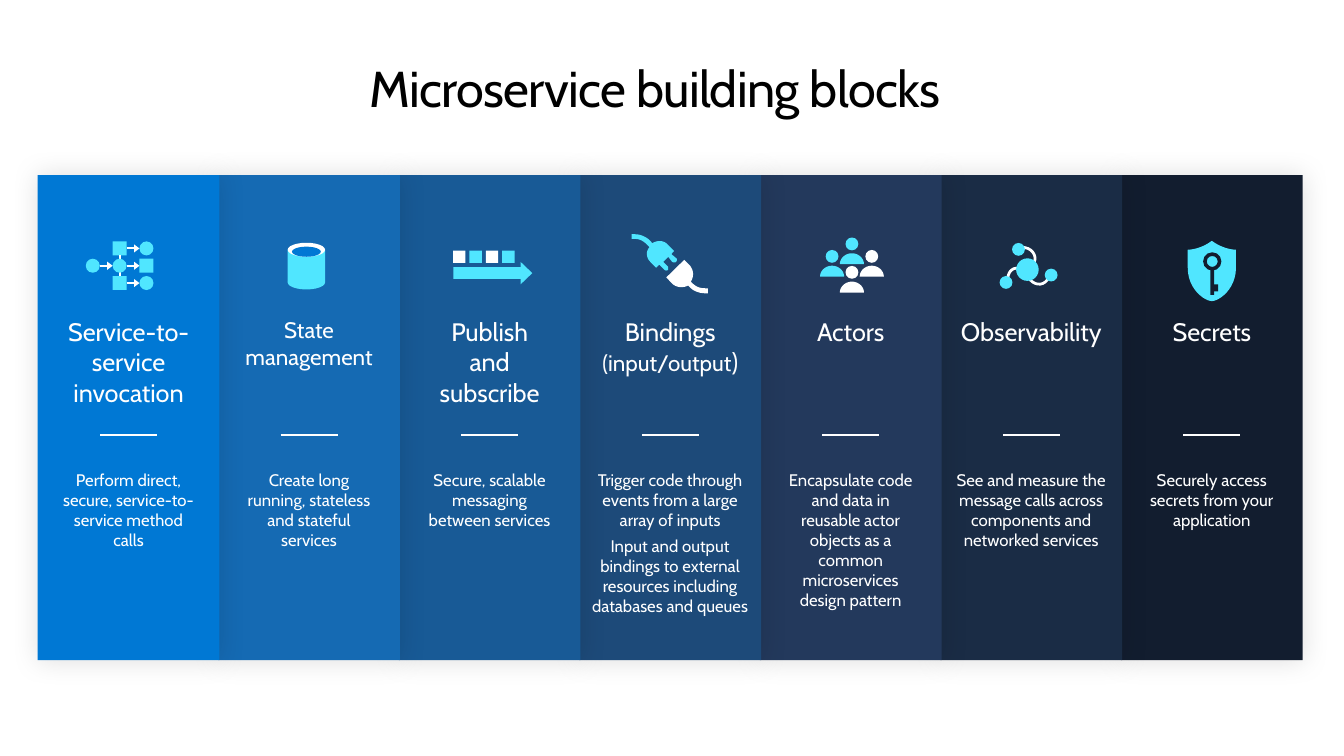
from dataclasses import dataclass

from lxml import etree
from pptx import Presentation
from pptx import util as u
from pptx.dml.color import RGBColor
from pptx.enum import shapes, text
from pptx.oxml import ns

S = shapes.MSO_SHAPE
Cm = u.Cm


@dataclass(frozen=True)
class Theme:
    font: str = "Cabin"
    black: str = "000000"
    white: str = "FFFFFF"
    cyan: str = "50E6FF"
    blue: str = "0078D4"
    title: float = 36.7
    heading: float = 18.4
    small_heading: float = 16.3
    body: float = 12.2


T = Theme()


def rgb(colour):
    return RGBColor.from_string(colour)


def sub(parent, tag, **attrs):
    return etree.SubElement(parent, ns.qn(tag), attrs)


def write(tf, paragraphs, size=T.body, colour=T.white, after=0, spacing=None):
    """Fill a frame with centred paragraphs, each a string or a list of (text, size)."""
    tf.word_wrap = True
    tf.vertical_anchor = text.MSO_ANCHOR.TOP
    for i, runs in enumerate(paragraphs):
        p = tf.add_paragraph() if i else tf.paragraphs[0]
        p.alignment = text.PP_ALIGN.CENTER
        p.space_after = u.Pt(after)
        for words, run_size in [(runs, size)] if isinstance(runs, str) else runs:
            for n, line in enumerate(words.split("\n")):
                if n:
                    p.add_line_break()
                r = p.add_run()
                r.text = line
                r.font.name, r.font.size = T.font, u.Pt(run_size)
                r.font.color.rgb = rgb(colour)
                if spacing is not None:
                    r._r.get_or_add_rPr().set("spc", str(int(spacing * 100)))


def insets(tf, left=0, top=0, right=0, bottom=0):
    tf.margin_left, tf.margin_top = Cm(left), Cm(top)
    tf.margin_right, tf.margin_bottom = Cm(right), Cm(bottom)


def paint(sp, fill):
    sp.shadow.inherit = False
    sp.fill.solid()
    sp.fill.fore_color.rgb = rgb(fill)
    sp.line.fill.background()
    return sp


def connect(s, x1, y1, x2, y2, arrow=False):
    line = s.shapes.add_connector(shapes.MSO_CONNECTOR.STRAIGHT, Cm(x1), Cm(y1), Cm(x2), Cm(y2))
    line.line.color.rgb = rgb(T.white)
    line.line.width = u.Pt(1.5)
    sp_pr = line._element.spPr
    if arrow:
        sub(sp_pr.find(ns.qn("a:ln")), "a:tailEnd", type="triangle", w="med", len="sm")
    sub(sp_pr, "a:effectLst")
    return line


class Icon:
    """Draws pieces at offsets in centimetres from the icon's centre."""

    def __init__(self, s, cx, cy):
        self.s, self.cx, self.cy = s, cx, cy

    def piece(self, kind, x, y, w, h, fill):
        """Place a preset shape by its own centre."""
        return paint(self.s.shapes.add_shape(
            kind, Cm(self.cx + x - w / 2), Cm(self.cy + y - h / 2), Cm(w), Cm(h)), fill)

    def outline(self, steps, colour, stroke=None):
        """Steps are (x, y) for a line or six Bézier values; stroke leaves the curve open."""
        points = [steps[0]]
        for step in steps[1:]:
            if len(step) == 2:
                points.append(step)
                continue
            ctrl = [points[-1], step[:2], step[2:4], step[4:]]
            for t in (n / 12 for n in range(1, 13)):
                weights = ((1 - t) ** 3, 3 * t * (1 - t) ** 2, 3 * t * t * (1 - t), t ** 3)
                points.append(tuple(sum(k * c[a] for k, c in zip(weights, ctrl)) for a in (0, 1)))
        emu = [(Cm(self.cx + x), Cm(self.cy + y)) for x, y in points]
        fb = self.s.shapes.build_freeform(*emu[0])
        fb.add_line_segments(emu[1:], close=stroke is None)
        sp = paint(fb.convert_to_shape(), colour)
        if stroke:
            sp.fill.background()
            sp.line.color.rgb = rgb(colour)
            sp.line.width = u.Pt(stroke)

    def arrow(self, x1, x2, y):
        return connect(self.s, self.cx + x1, self.cy + y, self.cx + x2, self.cy + y, arrow=True)


def invocation_icon(icon):
    size, col, row, hub_x = 0.36, 0.69, 0.445, -0.23
    right, half = hub_x + col, size / 2
    top, bottom = (icon.piece(S.RECTANGLE, hub_x, y, size, size, T.cyan) for y in (-row, row))
    target = icon.piece(S.RECTANGLE, right, 0, size, size, T.cyan)
    spine = connect(icon.s, icon.cx + hub_x, icon.cy - row, icon.cx + hub_x, icon.cy + row)
    spine.begin_connect(top, 2)
    spine.end_connect(bottom, 0)
    for x, y in ((right, -row), (right, row), (hub_x - col, 0), (hub_x, 0)):
        icon.piece(S.OVAL, x, y, size, size, T.cyan)
    for square, y in ((top, -row), (bottom, row)):
        icon.arrow(hub_x + half, right - half, y).begin_connect(square, 3)
    icon.arrow(hub_x + half, right - half, 0).end_connect(target, 1)
    icon.arrow(hub_x - col + half, hub_x - half, 0)


def state_icon(icon):
    x, w = -0.07, 0.96
    icon.piece(S.OVAL, x, 0.43, w, 0.36, T.cyan)
    icon.piece(S.RECTANGLE, x, 0.01, w, 0.84, T.cyan)
    icon.piece(S.OVAL, x, -0.41, w, 0.36, T.white)
    icon.piece(S.OVAL, x, -0.36, 0.74, 0.26, T.blue)


def publish_icon(icon):
    for i, fill in enumerate((T.white, T.cyan) * 2):
        icon.piece(S.RECTANGLE, -0.78 + 0.42 * i, -0.23, 0.32, 0.31, fill)
    belt = icon.piece(S.RIGHT_ARROW, 0.08, 0.19, 2.03, 0.58, T.cyan)
    belt.adjustments[0] = belt.adjustments[1] = 0.52


def bindings_icon(icon):
    icon.outline([
        (-.05, .03), (-.18, -.1), (-.05, -.23), (.05, -.1), (.08, -.08, .13, -.08, .15, -.1),
        (.18, -.13, .18, -.18, .15, -.2), (.03, -.3), (.1, -.38), (-.05, -.53),
        (-.15, -.66, -.33, -.66, -.46, -.58), (-.51, -.64), (-.61, -.74, -.76, -.81, -.91, -.81),
        (-.99, -.81), (-.99, -.69), (-.91, -.69), (-.79, -.69, -.69, -.64, -.58, -.53),
        (-.53, -.48), (-.64, -.36, -.61, -.2, -.51, -.1), (-.36, .05), (-.28, -.03),
        (-.15, .1), (-.13, .13, -.08, .13, -.05, .1)], T.cyan)
    icon.outline([
        (.91, .58), (.79, .58, .69, .56, .58, .46), (.53, .41), (.61, .28, .61, .13, .51, 0),
        (.36, -.15), (-.1, .3), (.05, .46), (.15, .56, .33, .58, .46, .51), (.51, .56),
        (.61, .66, .76, .71, .91, .71), (.97, .71), (.97, .58)], T.white)


def actors_icon(icon):
    for x, y, fill in ((0.54, -0.24, T.white), (0.03, -0.56, T.cyan),
                       (0.03, 0.17, T.white), (-0.48, -0.24, T.cyan)):
        icon.piece(S.OVAL, x, y, 0.33, 0.33, fill)
        base, top = y + 0.52, y + 0.24
        icon.outline([(x - .31, base), (x - .31, base - .15, x - .17, top, x, top),
                      (x + .17, top, x + .31, base - .15, x + .31, base)], fill)


def observability_icon(icon):
    for arc in ([(-.61, .41), (-.62, .05, -.35, -.05, -.05, .2)],
                [(-.33, -.46), (.05, -.55, .3, -.1, -.13, .1)],
                [(-.13, .05), (-.15, .45, .3, .65, .46, .28)]):
        icon.outline(arc, T.white, stroke=2)
    for x, y, d in ((-.65, .43, .33), (-.33, -.42, .33), (.51, .24, .33), (-.1, .1, .58)):
        icon.piece(S.OVAL, x, y, d, d, T.cyan)


def secrets_icon(icon):
    key = PANELS[-1][0]
    icon.outline([(0, -.64), (.3, -.41, .62, -.41, .62, -.41), (.62, .05),
                  (.62, .61, .18, .91, 0, .91), (-.18, .91, -.62, .61, -.62, .05),
                  (-.62, -.41), (-.62, -.41, -.3, -.41, 0, -.64)], T.cyan)
    icon.piece(S.DONUT, 0.01, -0.11, 0.47, 0.47, key).adjustments[0] = 0.2
    icon.piece(S.RECTANGLE, 0.01, 0.41, 0.1, 0.68, key)
    icon.piece(S.RECTANGLE, 0.11, 0.57, 0.1, 0.18, key)


# fill, icon, heading, caption width in cm, caption paragraphs
PANELS = [
    ("0078D4", invocation_icon, ["Service-to- service invocation"], 3.56,
     ["Perform direct, secure, service-to-service method calls"]),
    ("156AB3", state_icon, [[("State management", T.small_heading)]], 3.56,
     ["Create long running, stateless and stateful services"]),
    ("185A96", publish_icon, ["Publish\nand\nsubscribe"], 3.56,
     ["Secure, scalable messaging between services"]),
    ("1D4A79", bindings_icon,
     ["Bindings", [("(input/output", T.small_heading), (")", T.heading)]], 4.37,
     ["Trigger code through events from a large array of inputs",
      "Input and output bindings to external resources including databases and queues"]),
    ("23395C", actors_icon, ["Actors"], 3.56,
     ["Encapsulate code and data in reusable actor objects as a common "
      "microservices design pattern"]),
    ("1A2C45", observability_icon, ["Observability"], 4.04,
     ["See and measure the message calls across components and networked services"]),
    ("121D2F", secrets_icon, ["Secrets"], 3.81,
     ["Securely access secrets from your application"]),
]


def add_panel(s, x, y, w, h, fill, draw_icon, heading, caption_w, caption):
    sp = paint(s.shapes.add_shape(S.RECTANGLE, Cm(x), Cm(y), Cm(w), Cm(h)), fill)
    glow = sub(sp._element.spPr.find(ns.qn("a:effectLst")), "a:outerShdw",
               blurRad=str(u.Pt(20)), dist="0", dir="0", algn="ctr", rotWithShape="0")
    sub(sub(glow, "a:srgbClr", val=T.black), "a:alpha", val="12000")
    insets(sp.text_frame, 0.25, 3.63, 0.25, 0.5)
    write(sp.text_frame, heading, size=T.heading)
    cx = x + w / 2
    connect(s, cx - 0.73, y + 6.68, cx + 0.73, y + 6.68)
    tb = s.shapes.add_textbox(Cm(cx - caption_w / 2), Cm(y + 7.57), Cm(caption_w), Cm(2.1))
    insets(tb.text_frame)
    write(tb.text_frame, caption, after=4.3)
    draw_icon(Icon(s, cx, y + 2.33))


def add_title(s, x, y, w, h, words):
    tb = s.shapes.add_textbox(Cm(x), Cm(y), Cm(w), Cm(h))
    write(tb.text_frame, [words], size=T.title, colour=T.black, spacing=-0.5)


def main():
    prs = Presentation()
    prs.slide_width, prs.slide_height = Cm(34.54), Cm(19.43)
    s = prs.slides.add_slide(prs.slide_layouts[6])
    for i, panel in reversed(list(enumerate(PANELS))):
        add_panel(s, 0.97 + 4.64 * i, 4.5, 4.67, 12.47, *panel)
    add_title(s, 1.22, 1.35, 31.22, 1.57, "Microservice building blocks")
    prs.save("out.pptx")


if __name__ == "__main__":
    main()
